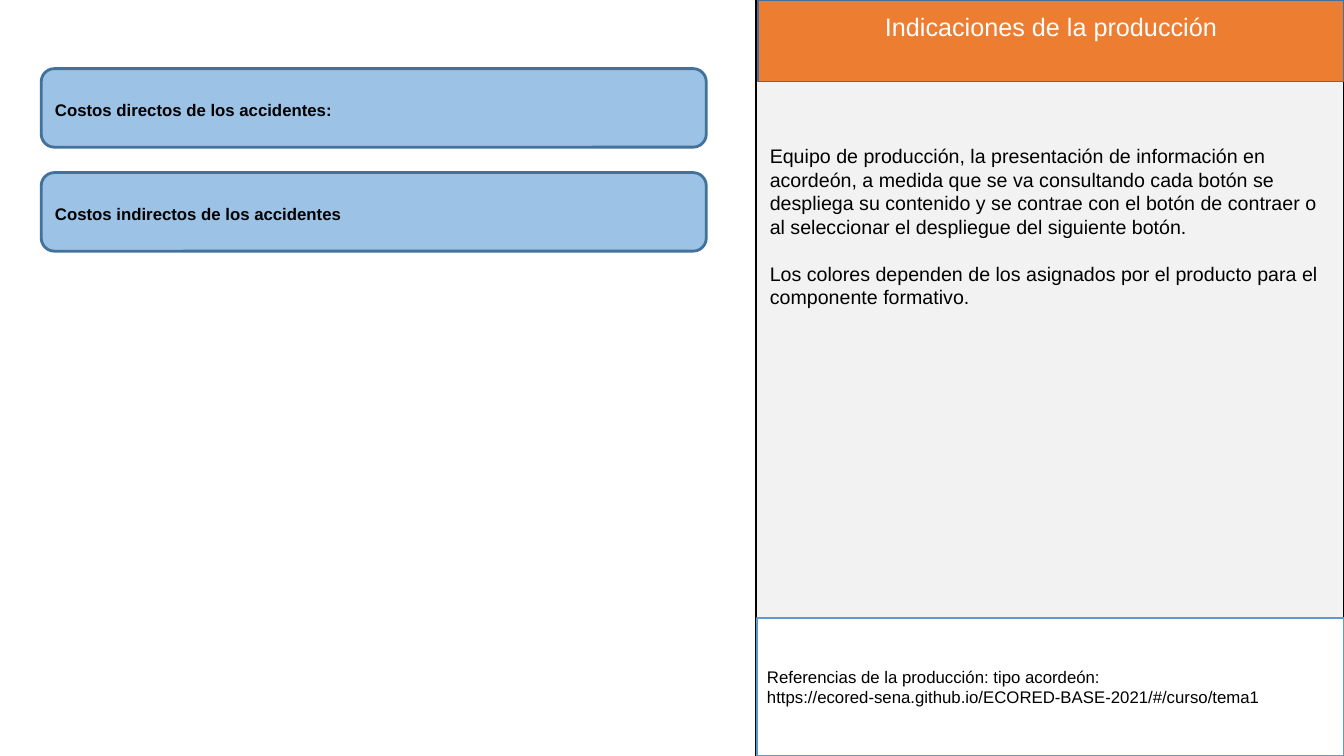
from pptx import Presentation
from pptx.dml.color import RGBColor
from pptx.enum.shapes import MSO_SHAPE
from pptx.enum.text import MSO_ANCHOR, MSO_AUTO_SIZE, PP_ALIGN
from pptx.util import Cm, Pt

HEADING = "Indicaciones de la producción"
INSTRUCTIONS = [
    "Equipo de producción, la presentación de información en acordeón, a medida "
    "que se va consultando cada botón se despliega su contenido y se contrae con "
    "el botón de contraer o al seleccionar el despliegue del siguiente botón.",
    "Los colores dependen de los asignados por el producto para el componente formativo.",
]
REFERENCES = (
    "Referencias de la producción: tipo acordeón: "
    "https://ecored-sena.github.io/ECORED-BASE-2021/#/curso/tema1"
)
ACCORDION = ["Costos directos de los accidentes:", "Costos indirectos de los accidentes"]

SLIDE_WIDTH, SLIDE_HEIGHT = 33.87, 19.05
PANEL_LEFT = 19.05
REFERENCES_TOP = 15.57
BUTTON_LEFT, BUTTON_TOP, BUTTON_WIDTH, BUTTON_HEIGHT = 1.04, 1.73, 16.76, 1.98
BUTTON_STEP = 2.62


def color(value):
    return RGBColor.from_string(value)


def paint(shape, fill, line, width=1):
    shape.fill.solid()
    shape.fill.fore_color.rgb = color(fill)
    shape.line.color.rgb = color(line)
    shape.line.width = Pt(width)


def add_box(slide, kind, box, fill, line, width=1):
    shape = slide.shapes.add_shape(kind, *map(Cm, box))
    shape.shadow.inherit = False
    paint(shape, fill, line, width)
    return shape


def write(shape, texts, size, ink="000000", bold=False, align=PP_ALIGN.LEFT,
          anchor=MSO_ANCHOR.MIDDLE, gap=0, spacing=1.0):
    frame = shape.text_frame
    frame.word_wrap = True
    frame.auto_size = MSO_AUTO_SIZE.NONE
    frame.vertical_anchor = anchor
    for index, text in enumerate(texts):
        paragraph = frame.add_paragraph() if index else frame.paragraphs[0]
        paragraph.text = text
        paragraph.alignment = align
        paragraph.line_spacing = spacing
        if index:
            paragraph.space_before = Pt(gap)
        font = paragraph.font
        font.name, font.size, font.bold = "Arial", Pt(size), bold
        font.color.rgb = color(ink)


def main():
    presentation = Presentation()
    presentation.slide_width, presentation.slide_height = Cm(SLIDE_WIDTH), Cm(SLIDE_HEIGHT)
    slide = presentation.slides.add_slide(presentation.slide_layouts[5])

    add_box(slide, MSO_SHAPE.RECTANGLE,
            (PANEL_LEFT, 0, SLIDE_WIDTH - PANEL_LEFT, SLIDE_HEIGHT), "F2F2F2", "000000")

    instructions = slide.shapes.add_textbox(Cm(19.15), Cm(3.51), Cm(14.72), Cm(8.38))
    write(instructions, INSTRUCTIONS, 14, anchor=MSO_ANCHOR.TOP, gap=16.5)

    heading = slide.shapes.title
    heading.left, heading.top, heading.width, heading.height = map(Cm, (19.1, 0, 14.77, 2.06))
    paint(heading, "ED7D31", "42719B")
    write(heading, [HEADING], 18, ink="FFFFFF", align=PP_ALIGN.CENTER, anchor=MSO_ANCHOR.TOP)
    heading.text_frame.margin_top = Cm(0.28)
    # The heading lies in front of the panel
    instructions._element.addnext(heading._element)

    references = add_box(slide, MSO_SHAPE.RECTANGLE,
                         (19.08, REFERENCES_TOP, 14.79, SLIDE_HEIGHT - REFERENCES_TOP),
                         "FFFFFF", "5B9BD5")
    write(references, [REFERENCES], 12)

    for index, label in enumerate(ACCORDION):
        top = BUTTON_TOP + index * BUTTON_STEP
        button = add_box(slide, MSO_SHAPE.ROUNDED_RECTANGLE,
                         (BUTTON_LEFT, top, BUTTON_WIDTH, BUTTON_HEIGHT), "9CC2E5", "42719B", 2)
        write(button, [label], 12, bold=True, align=PP_ALIGN.JUSTIFY, spacing=1.15)

    presentation.save("out.pptx")


if __name__ == "__main__":
    main()
